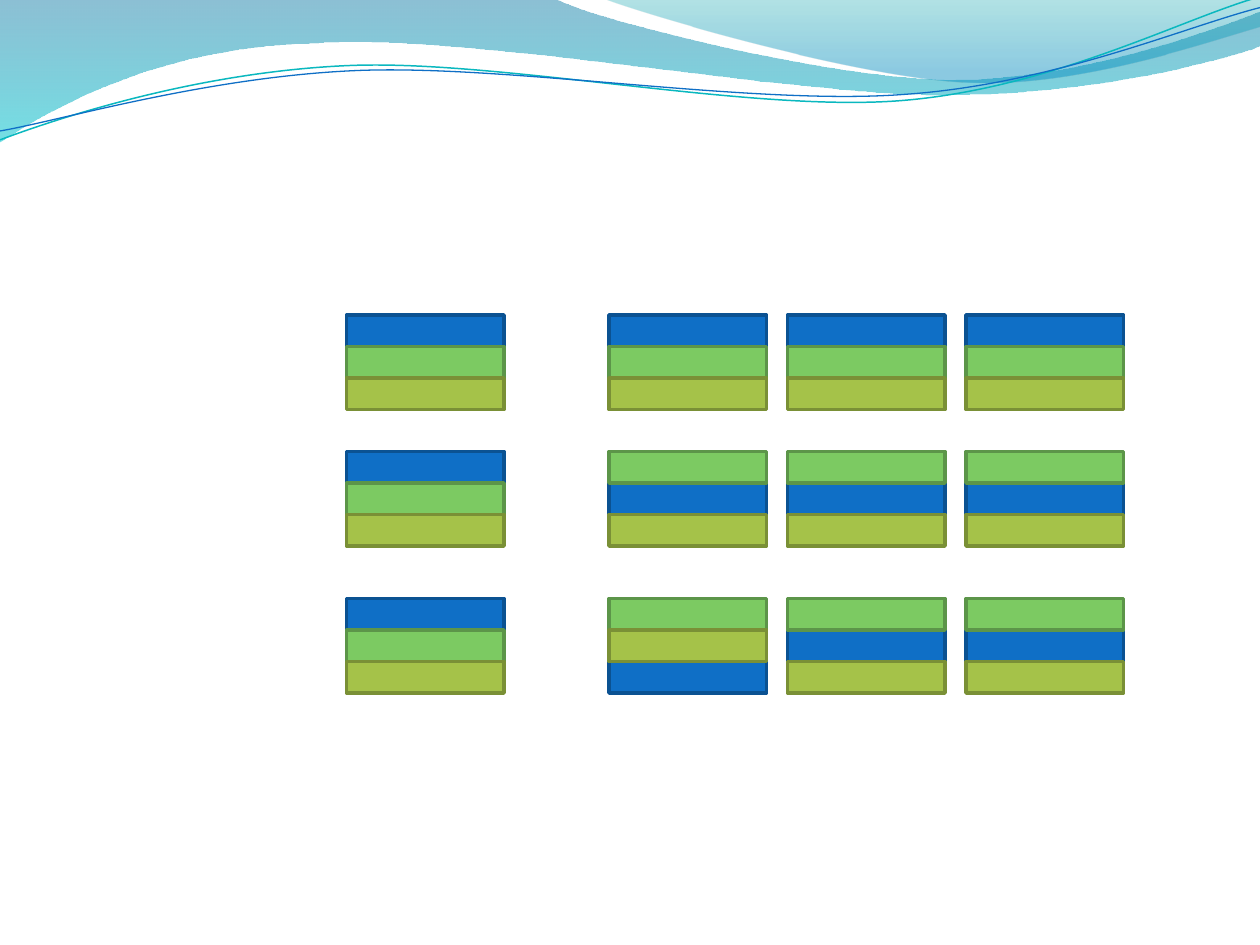
from math import cos, radians, sin

from pptx import Presentation
from pptx.dml.color import RGBColor
from pptx.enum.shapes import MSO_SHAPE
from pptx.oxml.ns import qn
from pptx.util import Inches, Pt

WIDE, HIGH = 10, 7.5
CELL = WIDE / 120           # the slide is a grid of 120 columns by 90 rows
TILT = 357.3                # turn of the two header threads

# Bar colours, fill then line, in drawing order
BARS = {"blue": ("0F6FC6", "0B5292"),
        "green": ("7CCA62", "5C9549"),
        "olive": ("A5C249", "7A9036")}

# Bars from top to bottom in each stack
FIRST = ("blue", "green", "olive")
SWAP = ("green", "blue", "olive")
LAST = ("green", "olive", "blue")
COLS = (33, 58, 75, 92)
ROWS = {43: (FIRST, SWAP, SWAP, SWAP),
        30: (FIRST, FIRST, FIRST, FIRST),
        57: (FIRST, LAST, SWAP, SWAP)}
STACK_W, STACK_H = 15, 9

# Header outlines: a start point, then lines (one point) or curves (three)
BAND = [[(0, 0)], [(4.4, -.01)],
        [(4.76, .17), (6.64, .63), (7.58, .63)],
        [(8.53, .63), (9.58, .26), (10, .09)], [(10.01, .36)],
        [(9.83, .44), (8.7, .76), (7.46, .75)],
        [(6.22, .75), (3.82, .28), (2.57, .34)],
        [(1.29, .36), (.46, .83), (-.01, 1.13)], [(0, 0)]]
CREST = [[(4.79, -.01)], [(5.09, .11), (6.82, .62), (7.69, .65)],
         [(8.56, .69), (9.61, .32), (10, .21)], [(10, 0)], [(4.79, -.01)]]
TEAL = [[(0, 1.11)], [(.48, .93), (1.58, .57), (2.77, .52)],
        [(3.95, .47), (5.93, .89), (7.13, .8)],
        [(8.33, .71), (9.38, .15), (9.98, -.02)]]
NAVY = [[(0, 1.04)], [(.47, .96), (1.64, .61), (2.83, .56)],
        [(4.03, .51), (5.97, .84), (7.17, .75)],
        [(8.36, .67), (9.41, .21), (10, .06)]]


def color(code):
    return RGBColor.from_string(code)


def unturn(point, box, angle):
    """Where a point lies before its box is turned by the angle."""
    left, top, width, height = box
    mid_x, mid_y = left + width / 2, top + height / 2
    x, y = point[0] - mid_x, point[1] - mid_y
    c, s = cos(radians(-angle)), sin(radians(-angle))
    return mid_x + x * c - y * s, mid_y + x * s + y * c


def trace(host, box, line, close=False, angle=0):
    """Draw an outline of lines and cubic curves framed by the box."""
    spots = [tuple(Inches(v) for v in unturn(point, box, angle))
             for part in line for point in part]
    pen = host.shapes.build_freeform(*spots[0], scale=1.0)
    pen.add_line_segments(spots[1:], close=close)
    shape = pen.convert_to_shape()
    shape.shadow.inherit = False

    # Fit the outline to the frame
    left, top, width, height = (Inches(v) for v in box)
    shift = {"x": shape.left - left, "y": shape.top - top}
    route = next(shape._element.spPr.iter(qn("a:path")))
    for spot in route.iter(qn("a:pt")):
        for axis, gap in shift.items():
            spot.set(axis, str(int(spot.get(axis)) + gap))
    route.set("w", str(width))
    route.set("h", str(height))
    shape.left, shape.top, shape.width, shape.height = left, top, width, height
    shape.rotation = angle

    # Join each three points into one curve
    nodes = iter(route.findall(qn("a:lnTo")))
    for part in line[1:]:
        group = [next(nodes) for point in part]
        if len(part) == 3:
            bend = route.makeelement(qn("a:cubicBezTo"), {})
            group[0].addprevious(bend)
            for node in group:
                bend.append(node[0])
                route.remove(node)
    return shape


def wave(host, box, line, stops):
    """A filled wave; each stop is place, colour and opacity percent."""
    shape = trace(host, box, line, close=True)
    shape.line.fill.background()
    shape.fill.gradient()
    shape.fill.gradient_angle = 270
    for stop, (place, code, alpha) in zip(shape.fill.gradient_stops, stops):
        stop.position = place
        stop.color.rgb = color(code)
    tints = list(shape._element.spPr.iter(qn("a:srgbClr")))
    for tint, (place, code, alpha) in zip(tints, stops):
        node = tint.makeelement(qn("a:alpha"), {"val": str(alpha * 1000)})
        tint.append(node)


def thread(host, box, line, code, width):
    shape = trace(host, box, line, angle=TILT)
    shape.fill.background()
    shape.line.color.rgb = color(code)
    shape.line.width = Pt(width)


def header(slide, box):
    left, top, width, height = box

    def part(x, y, w, h):
        return left + x * width, top + y * height, w * width, h * height

    wave(slide, part(0, -.01, 1, 1.14), BAND,
         [(0, "0074A1", 45), (1, "00C6CF", 55)])
    wave(slide, part(.48, -.01, .52, .7), CREST,
         [(0, "00A1A9", 30), (.8, "008BBF", 45)])
    pair = slide.shapes.add_group_shape()
    thread(pair, part(0, .22, 1, .71), TEAL, "0AB8BF", .85)
    thread(pair, part(0, .3, 1, .58), NAVY, "0F6FC6", .75)


def stack(host, box, order):
    """Three equal bars filling the box, in the given order."""
    left, top, width, height = box
    step = height / len(order)
    for name, (fill, edge) in BARS.items():
        place = top + order.index(name) * step
        bar = host.shapes.add_shape(
            MSO_SHAPE.RECTANGLE,
            *(Inches(v * CELL) for v in (left, place, width, step)))
        bar.shadow.inherit = False
        bar.fill.solid()
        bar.fill.fore_color.rgb = color(fill)
        bar.line.color.rgb = color(edge)
        bar.line.width = Pt(2)


def main():
    deck = Presentation()
    deck.slide_width, deck.slide_height = Inches(WIDE), Inches(HIGH)
    slide = deck.slides.add_slide(deck.slide_layouts[6])
    # Waves along the top edge
    header(slide, (0, 0, WIDE, HIGH * 2 / 15))
    # Grid of stacks, one group to a row
    for row, orders in ROWS.items():
        group = slide.shapes.add_group_shape()
        for col, order in zip(COLS, orders):
            stack(group, (col, row, STACK_W, STACK_H), order)
    deck.save("out.pptx")


if __name__ == "__main__":
    main()
